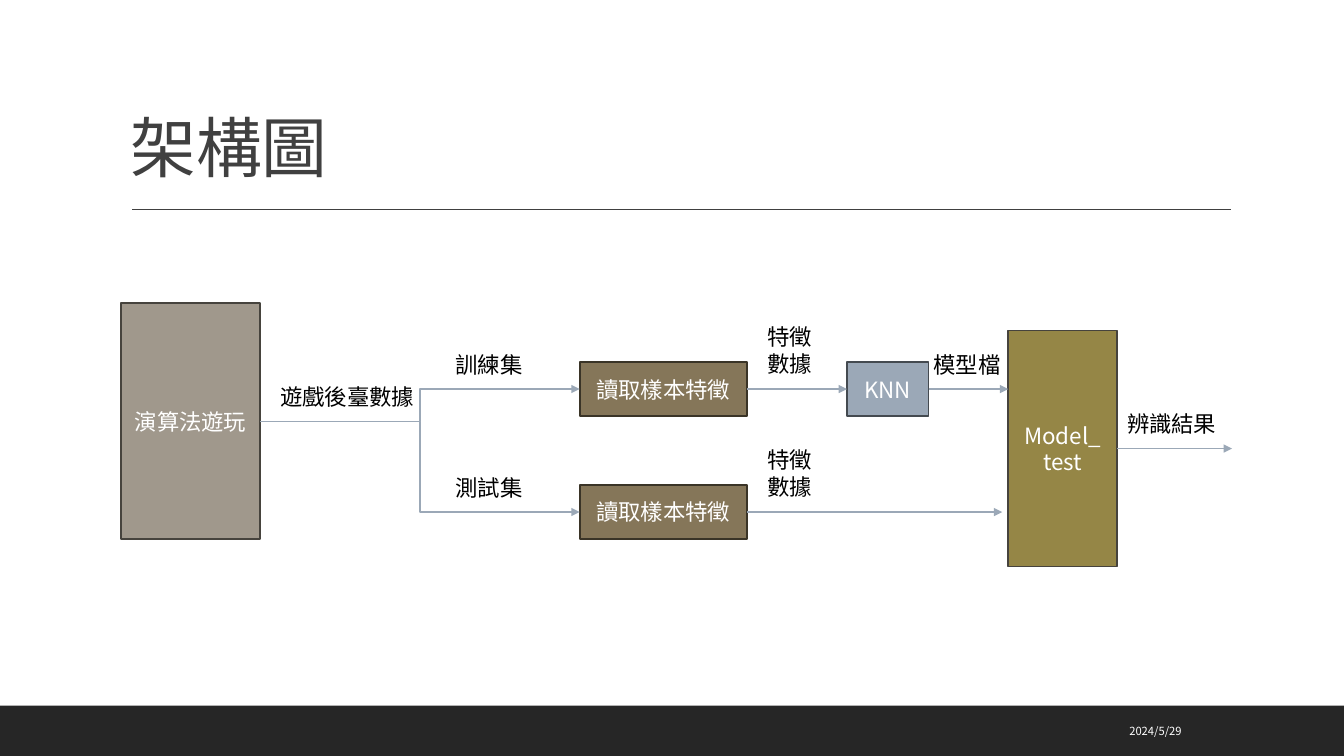
"""Build the architecture diagram slide."""
import dataclasses

import lxml.etree
import pptx
import pptx.dml.color
import pptx.enum.shapes
import pptx.enum.text
import pptx.oxml.ns
import pptx.util

Inches = pptx.util.Inches
ALIGN = pptx.enum.text.PP_ALIGN
ANCHOR = pptx.enum.text.MSO_ANCHOR
CONNECTOR = pptx.enum.shapes.MSO_CONNECTOR


@dataclasses.dataclass(frozen=True)
class Theme:
    """Colours, fonts and sizes of the slide."""

    font: str = "Noto Sans CJK SC"
    date_font: str = "Noto Sans CJK TC"
    white: str = "FFFFFF"
    black: str = "000000"
    footer: str = "262626"
    heading: str = "404040"
    arrow: str = "9BA8B7"
    source: str = "A0988C"
    reader: str = "857659"
    reader_edge: str = "3A3427"
    classifier: str = "9BA8B7"
    classifier_edge: str = "444A50"
    model: str = "958646"
    edge: str = "46433D"
    title_size: float = 47
    body_size: float = 16
    date_size: float = 8
    border: float = 1.25
    line: float = 1


class DiagramSlide:
    """Hold the theme and the current slide, and draw its elements."""

    def __init__(self, presentation, theme):
        """Add a blank slide to the presentation."""
        self.theme = theme
        self.slide = presentation.slides.add_slide(presentation.slide_layouts[6])

    def color(self, value):
        """Return a colour from its hexadecimal form."""
        return pptx.dml.color.RGBColor.from_string(value)

    def set_text(self, shape, text, color, size=None, font=None, align=ALIGN.LEFT,
                 anchor=ANCHOR.TOP):
        """Put styled text in a shape, one paragraph per line."""
        frame = shape.text_frame
        frame.word_wrap = True
        frame.vertical_anchor = anchor
        frame.text = text
        name = font or self.theme.font
        for paragraph in frame.paragraphs:
            paragraph.alignment = align
            paragraph.font.size = pptx.util.Pt(size or self.theme.body_size)
            paragraph.font.color.rgb = self.color(color)
            paragraph.font.name = name
            properties = paragraph._p.pPr.find(pptx.oxml.ns.qn("a:defRPr"))
            east_asian = lxml.etree.SubElement(properties, pptx.oxml.ns.qn("a:ea"))
            east_asian.set("typeface", name)

    def text(self, left, top, width, height, text, color=None, **style):
        """Add a text box."""
        shape = self.slide.shapes.add_textbox(
            Inches(left), Inches(top), Inches(width), Inches(height))
        self.set_text(shape, text, color or self.theme.black, **style)
        return shape

    def title(self, left, top, width, height, text):
        """Add the slide title."""
        shape = self.text(left, top, width, height, text, self.theme.heading,
                          size=self.theme.title_size, anchor=ANCHOR.BOTTOM)
        paragraph = shape.text_frame.paragraphs[0]
        paragraph.line_spacing = 0.9
        paragraph._p.pPr.find(pptx.oxml.ns.qn("a:defRPr")).set("spc", "-50")

    def box(self, left, top, width, height, fill, edge=None, text=""):
        """Add a filled rectangle with centred text."""
        shape = self.slide.shapes.add_shape(
            pptx.enum.shapes.MSO_SHAPE.RECTANGLE,
            Inches(left), Inches(top), Inches(width), Inches(height))
        shape.shadow.inherit = False
        shape.fill.solid()
        shape.fill.fore_color.rgb = self.color(fill)
        if edge:
            shape.line.color.rgb = self.color(edge)
            shape.line.width = pptx.util.Pt(self.theme.border)
        else:
            shape.line.fill.background()
        if text:
            self.set_text(shape, text, self.theme.white, align=ALIGN.CENTER,
                          anchor=ANCHOR.MIDDLE)

    def line(self, start, end, color, kind=CONNECTOR.STRAIGHT):
        """Add a plain connector."""
        connector = self.slide.shapes.add_connector(
            kind, *(Inches(value) for value in (*start, *end)))
        connector.line.color.rgb = self.color(color)
        connector.line.width = pptx.util.Pt(self.theme.line)
        lxml.etree.SubElement(connector._element.spPr, pptx.oxml.ns.qn("a:effectLst"))
        return connector

    def arrow(self, start, end, kind=CONNECTOR.STRAIGHT):
        """Add a connector with an arrowhead at its end."""
        connector = self.line(start, end, self.theme.arrow, kind)
        outline = connector._element.spPr.find(pptx.oxml.ns.qn("a:ln"))
        head = lxml.etree.SubElement(outline, pptx.oxml.ns.qn("a:tailEnd"))
        head.set("type", "triangle")


def main():
    """Build and save the presentation."""
    presentation = pptx.Presentation()
    presentation.slide_width = Inches(13.33)
    presentation.slide_height = Inches(7.5)
    theme = Theme()
    diagram = DiagramSlide(presentation, theme)

    diagram.box(0, 7, 13.33, 0.5, theme.footer)
    diagram.line((1.31, 2.08), (12.21, 2.08), theme.heading)
    diagram.title(1.2, 0.31, 11, 1.59, "架構圖")
    diagram.text(8.99, 7.05, 2.83, 0.4, "2024/5/29", theme.white,
                 size=theme.date_size, font=theme.date_font,
                 align=ALIGN.RIGHT, anchor=ANCHOR.MIDDLE)

    diagram.box(1.2, 3.01, 1.38, 2.34, theme.source, theme.edge, "演算法遊玩")
    diagram.box(8.4, 3.59, 0.81, 0.54, theme.classifier, theme.classifier_edge, "KNN")
    diagram.box(10, 3.28, 1.08, 2.34, theme.model, theme.edge, "Model_\ntest")

    branches = ((3.86, "訓練集", 8.4), (5.08, "測試集", 9.94))
    for middle, dataset, target in branches:
        diagram.box(5.75, middle - 0.27, 1.66, 0.54, theme.reader,
                    theme.reader_edge, "讀取樣本特徵")
        diagram.text(4.42, middle - 0.43, 0.92, 0.37, dataset)
        diagram.text(7.51, middle - 0.7, 0.69, 0.64, "特徵數據")
        diagram.arrow((2.58, 4.18), (5.75, middle), CONNECTOR.ELBOW)
        diagram.arrow((7.41, middle), (target, middle))

    diagram.arrow((9.21, 3.86), (10, 3.86))
    diagram.arrow((11.08, 4.45), (12.22, 4.45))
    diagram.text(2.68, 3.75, 1.57, 0.37, "遊戲後臺數據")
    diagram.text(9.16, 3.43, 0.9, 0.37, "模型檔")
    diagram.text(11.08, 4.02, 1.14, 0.37, "辨識結果")

    presentation.save("out.pptx")


if __name__ == "__main__":
    main()
